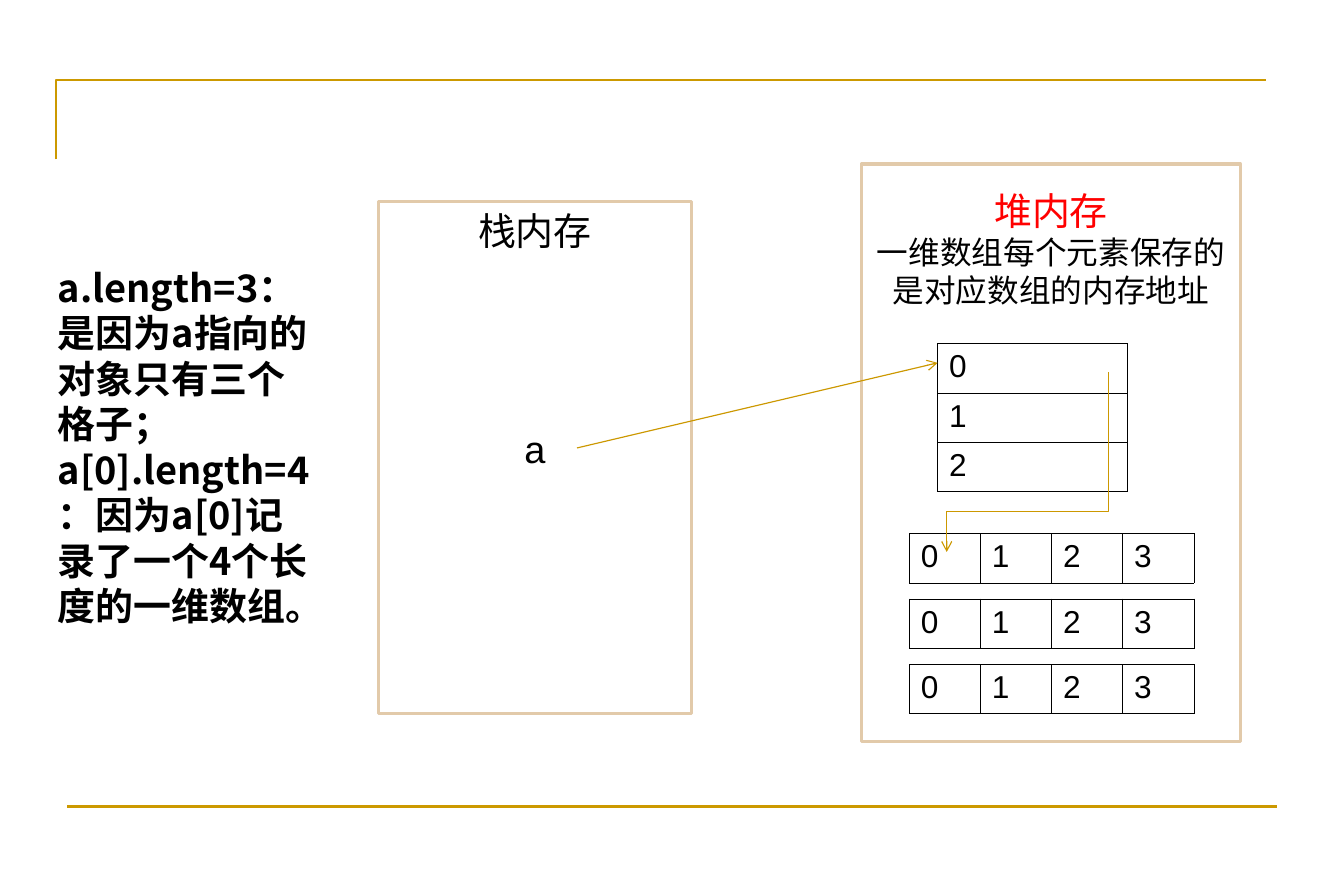
import pptx
import pptx.util
import pptx.dml.color
import pptx.enum.shapes
import pptx.enum.text
import pptx.oxml
import pptx.oxml.ns

GOLD = pptx.dml.color.RGBColor(0xCC, 0x99, 0x00)
ARROW_GOLD = pptx.dml.color.RGBColor(0xCC, 0x98, 0x00)
TAN = pptx.dml.color.RGBColor(0xE2, 0xCA, 0xAA)
BLACK = pptx.dml.color.RGBColor(0, 0, 0)
RED = pptx.dml.color.RGBColor(0xFF, 0, 0)
WHITE = pptx.dml.color.RGBColor(0xFF, 0xFF, 0xFF)
CJK_FONT = "Noto Sans CJK SC"
NS = pptx.oxml.ns.nsdecls("a")
Pt = pptx.util.Pt

deck = pptx.Presentation()
deck.slide_width = pptx.util.Inches(11.81)
deck.slide_height = pptx.util.Inches(7.87)
slide = deck.slides.add_slide(deck.slide_layouts[6])
shapes = slide.shapes

# The slide is a grid of 30 columns by 20 rows
COL = deck.slide_width / 30
ROW = deck.slide_height / 20


def grid(*lengths):
    """Turn alternating columns and rows into slide lengths."""
    return [round(n * (ROW if i % 2 else COL)) for i, n in enumerate(lengths)]


def write(paragraph, text, **formats):
    """Fill a paragraph with one run, formatted from a dict of values."""
    run = paragraph.add_run()
    run.text = text
    for key, value in ({"name": "Arial", "size": Pt(20)} | formats).items():
        if key == "color":
            run.font.color.rgb = value
        else:
            setattr(run.font, key, value)
    run.font.color.rgb = formats.get("color", BLACK)
    run.font._element.append(pptx.oxml.parse_xml(f'<a:ea {NS} typeface="{CJK_FONT}"/>'))


# Frame: corner at the top, rule at the bottom
corner_points = [grid(1.25, 3.56), grid(1.25, 1.78), grid(28.25, 1.78)]
builder = shapes.build_freeform(*corner_points[0], scale=1.0)
builder.add_line_segments(corner_points[1:], close=False)
corner = builder.convert_to_shape()
corner.shadow.inherit = False
corner.fill.background()
corner.line.color.rgb = GOLD
corner.line.width = Pt(1.5)

STRAIGHT = pptx.enum.shapes.MSO_CONNECTOR.STRAIGHT
ELBOW = pptx.enum.shapes.MSO_CONNECTOR.ELBOW
bottom_rule = shapes.add_connector(STRAIGHT, *grid(1.5, 18, 28.5, 18))

# Memory areas: place, top inset in points, lines of (text, size, colour, space before)
memory_areas = [
    ((8.44, 4.5, 7, 11.43), 3.6,
     [("栈内存", 24, BLACK, 0), ("a", 24, BLACK, 109)]),
    ((19.23, 3.66, 8.46, 12.9), 15,
     [("堆内存", 24, RED, 0),
      ("一维数组每个元素保存的是对应数组的内存地址", 20, BLACK, 0)]),
]
for place, inset, lines in memory_areas:
    area = shapes.add_shape(pptx.enum.shapes.MSO_SHAPE.RECTANGLE, *grid(*place))
    area.shadow.inherit = False
    area.fill.solid()
    area.fill.fore_color.rgb = WHITE
    area.line.color.rgb = TAN
    area.line.width = Pt(2)
    frame = area.text_frame
    frame.vertical_anchor = pptx.enum.text.MSO_ANCHOR.TOP
    frame.margin_top = Pt(inset)
    for i, (text, size, color, gap) in enumerate(lines):
        paragraph = frame.add_paragraph() if i else frame.paragraphs[0]
        paragraph.alignment = pptx.enum.text.PP_ALIGN.CENTER
        paragraph.space_before = Pt(gap)
        write(paragraph, text, size=Pt(size), color=color)

# Arrays in the heap: left, top, width, rows, columns
CELL_HEIGHT = 1.1
arrays = [(20.93, 7.67, 4.24, 3, 1)]
arrays += [(20.3, 11.91 + 1.46 * i, 6.35, 1, 4) for i in range(3)]
for left, top, width, rows, cols in arrays:
    array = shapes.add_table(rows, cols, *grid(left, top, width, CELL_HEIGHT * rows)).table
    array.first_row = array.horz_banding = False
    for index, cell in enumerate(array.iter_cells()):
        write(cell.text_frame.paragraphs[0], str(index))
        borders = cell._tc.get_or_add_tcPr()
        for side in ("lnL", "lnR", "lnT", "lnB"):
            borders.append(pptx.oxml.parse_xml(
                f'<a:{side} {NS} w="{Pt(0.45)}"><a:solidFill>'
                f'<a:srgbClr val="{BLACK}"/></a:solidFill></a:{side}>'))
        cell.fill.background()

# Explanation on the left
explanation = shapes.add_textbox(*grid(1.04, 5.77, 6.35, 8.38)).text_frame
explanation.word_wrap = True
write(explanation.paragraphs[0],
      "a.length=3：是因为a指向的对象只有三个格子； "
      "a[0].length=4：因为a[0]记录了一个4个长度的一维数组。",
      name=CJK_FONT, size=Pt(24), bold=True)

# References: a to its array, and element 0 to the first row array
array_reference = shapes.add_connector(STRAIGHT, *grid(12.88, 10, 20.93, 8.1))
row_reference = shapes.add_connector(ELBOW, *grid(20.93, 8.51, 24.94, 12.12))
row_properties = row_reference._element.spPr
row_properties.find(pptx.oxml.ns.qn("a:xfrm")).set("rot", "5400000")
bend = row_properties.find(pptx.oxml.ns.qn("a:prstGeom")).find(pptx.oxml.ns.qn("a:avLst"))
bend.append(pptx.oxml.parse_xml(f'<a:gd {NS} name="adj1" fmla="val 77500"/>'))

for connector, color, width, arrow in [
    (bottom_rule, GOLD, 1.5, False),
    (array_reference, ARROW_GOLD, 0.75, True),
    (row_reference, ARROW_GOLD, 0.75, True),
]:
    connector.line.color.rgb = color
    connector.line.width = Pt(width)
    if arrow:
        connector.line._get_or_add_ln().append(
            pptx.oxml.parse_xml(f'<a:tailEnd {NS} type="arrow"/>'))
    connector._element.spPr.append(pptx.oxml.parse_xml(f"<a:effectLst {NS}/>"))

deck.save("out.pptx")
